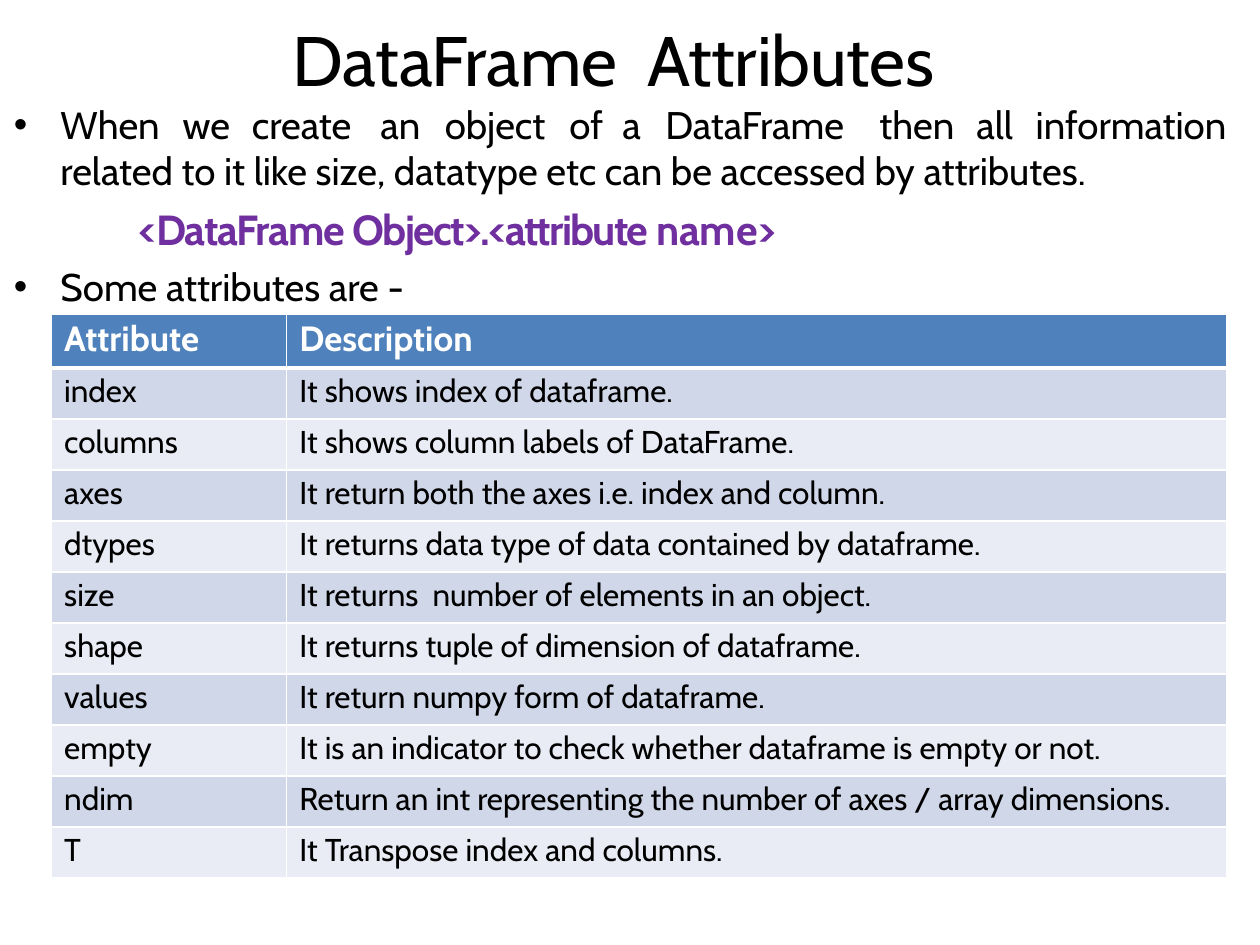
from dataclasses import dataclass
from typing import Any

from lxml.etree import SubElement as add_element
from pptx import Presentation
from pptx.dml.color import RGBColor as Color
from pptx.oxml import parse_xml
from pptx.oxml.ns import nsdecls, qn
from pptx.util import Inches, Pt

COLORS = {
    "text": "000000", "accent": "6F2F9F", "white": "FFFFFF",
    "header": "4F81BC", "dark": "D0D7E8", "light": "E9ECF4",
}
TABS = [0.39, 1.36, 1.91, 2.93, 3.44, 4.43, 4.85, 5.19, 6.89, 7.66, 8.13]
HEADINGS = ("Attribute", "Description")
ATTRIBUTES = [
    ("index", "It shows index of dataframe."),
    ("columns", "It shows column labels of DataFrame."),
    ("axes", "It return both the axes i.e. index and column."),
    ("dtypes", "It returns data type of data contained by dataframe."),
    ("size", [("It returns", 0), (" ", 4), ("number of elements in an object.", 0)]),
    ("shape", "It returns tuple of dimension of dataframe."),
    ("values", "It return numpy form of dataframe."),
    ("empty", "It is an indicator to check whether dataframe is empty or not."),
    ("ndim", "Return an int representing the number of axes / array dimensions."),
    ("T", "It Transpose index and columns."),
]


@dataclass
class SlideBuilder:
    page: Any
    font: str = "Cabin"
    unit: int = Inches(0.1)

    def place(self, *cells):
        return [round(cell * self.unit) for cell in cells]

    def text_box(self, area):
        frame = self.page.shapes.add_textbox(*self.place(*area)).text_frame
        frame.word_wrap = True
        frame.margin_left = frame.margin_right = frame.margin_bottom = 0
        frame.margin_top = Inches(0.01)
        return frame

    def fill_para(self, para, spans, size, color="text", bold=False, indent=0,
                  before=0.9, bullet=False, tabs=()):
        props = para._p.get_or_add_pPr()
        props.set("marL", str(Inches(indent)))
        props.set("indent", str(Inches(-0.37 if bullet else 0)))
        para.space_before = Pt(before)
        if bullet:
            add_element(props, qn("a:buFont"), typeface="Arial")
            add_element(props, qn("a:buChar"), char="•")
        if tabs:
            stops = add_element(props, qn("a:tabLst"))
            for stop in tabs:
                add_element(stops, qn("a:tab"), pos=str(Inches(stop)), algn="l")
        para.font.name = self.font
        para.font.size = Pt(size)
        para.font.bold = bold
        para.font.color.rgb = Color.from_string(COLORS[color])
        for text, spacing in [(spans, 0)] if isinstance(spans, str) else spans:
            span = para.add_run()
            span.text = text
            if spacing:
                span._r.get_or_add_rPr().set("spc", str(round(spacing * 100)))

    def borders(self, cell, top, bottom):
        props = cell._tc.get_or_add_tcPr()
        sides = {"L": 1, "R": 1, "T": top, "B": bottom}
        for place, (side, width) in enumerate(sides.items()):
            props.insert(place, parse_xml(
                f'<a:ln{side} {nsdecls("a")} w="{Pt(width)}"><a:solidFill>'
                f'<a:srgbClr val="{COLORS["white"]}"/></a:solidFill></a:ln{side}>'))

    def table(self, area, widths, header_height, rows):
        left, top, width, height = self.place(*area)
        grid = self.page.shapes.add_table(
            len(rows), len(widths), left, top, width, height).table
        grid.horz_banding = False
        for column, share in zip(grid.columns, widths):
            column.width = round(width * share)
        header = round(header_height * self.unit)
        for number, values in enumerate(rows):
            first = number == 0
            grid.rows[number].height = (
                header if first else (height - header) // (len(rows) - 1))
            fill = "header" if first else ("light", "dark")[number % 2]
            for cell, value in zip(grid.rows[number].cells, values):
                cell.margin_left = cell.margin_right = cell.margin_bottom = 0
                cell.margin_top = Inches(0.03)
                cell.fill.solid()
                cell.fill.fore_color.rgb = Color.from_string(COLORS[fill])
                self.borders(cell, 3 if number == 1 else 1, 3 if first else 1)
                self.fill_para(cell.text_frame.paragraphs[0], value,
                               20 if first else 18, "white" if first else "text",
                               bold=first, indent=0.1, before=2.4)


def main():
    deck = Presentation()
    deck.slide_width, deck.slide_height = Inches(10), Inches(7.5)
    builder = SlideBuilder(deck.slides.add_slide(deck.slide_layouts[6]))

    title = builder.text_box((4.7, 1.2, 89.7, 6.3))
    builder.fill_para(title.paragraphs[0],
                      [("DataFrame", 0), (" ", 8), ("Attributes", -0.1)],
                      40, indent=1.85)

    body = builder.text_box((0.9, 7.9, 96.6, 16.8))
    builder.fill_para(
        body.paragraphs[0],
        "When\twe\tcreate\tan\tobject\tof\ta\tDataFrame\tthen\tall\tinformation",
        22, indent=0.39, bullet=True, tabs=TABS)
    builder.fill_para(
        body.add_paragraph(),
        "related to it like size, datatype etc can be accessed by attributes.",
        22, indent=0.39, before=0)
    builder.fill_para(
        body.add_paragraph(),
        [("<DataFrame ", -0.7), ("Object>.<attribute ", -1), ("name>", -0.1)],
        24, "accent", bold=True, indent=1.01, before=5.6)
    builder.fill_para(body.add_paragraph(), "Some attributes are -",
                      22, indent=0.39, before=5.5, bullet=True, tabs=TABS[:1])

    builder.table((4.1, 24.9, 93.3, 44.8), (0.2, 0.8), 4.3, [HEADINGS, *ATTRIBUTES])
    deck.save("out.pptx")


if __name__ == "__main__":
    main()
